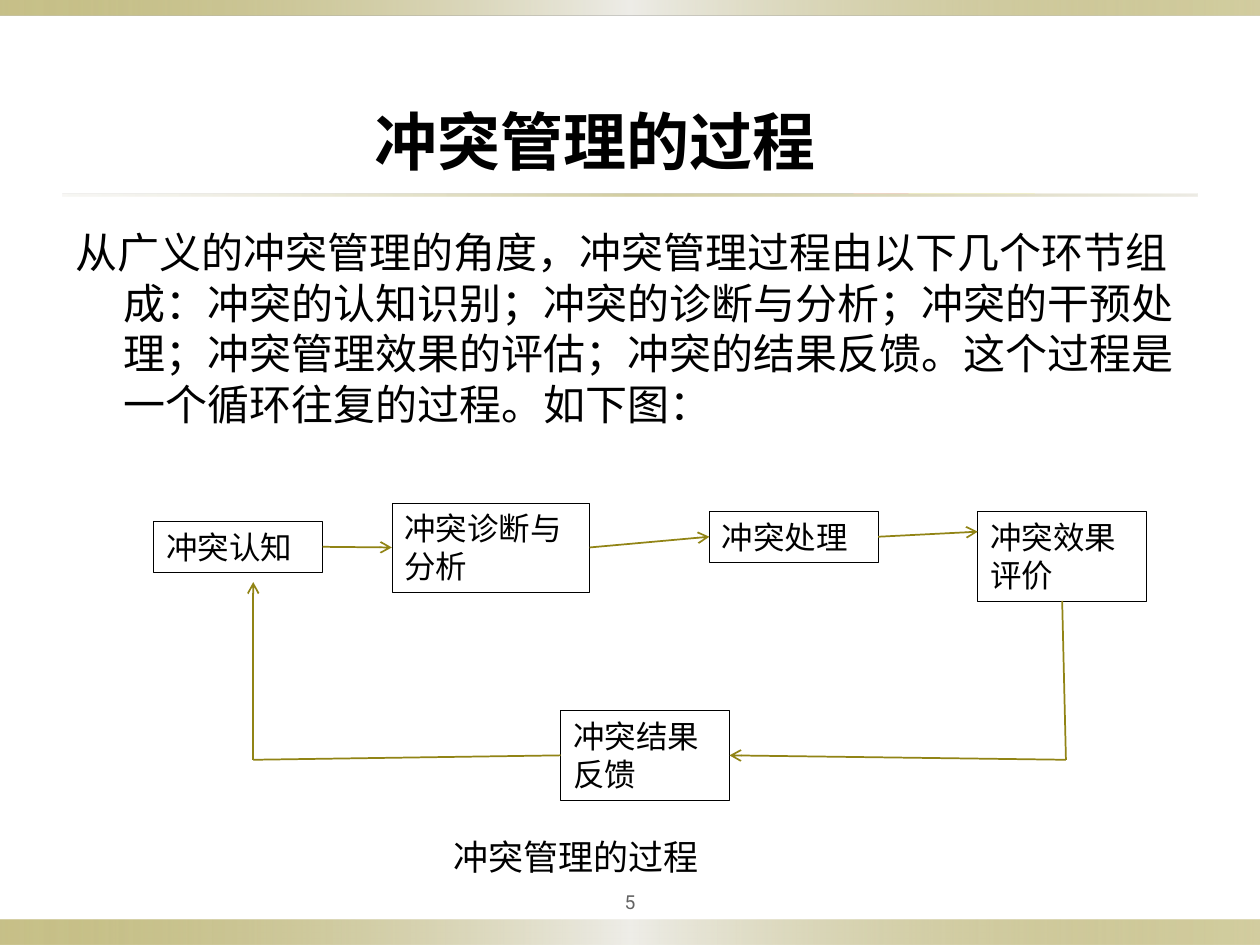
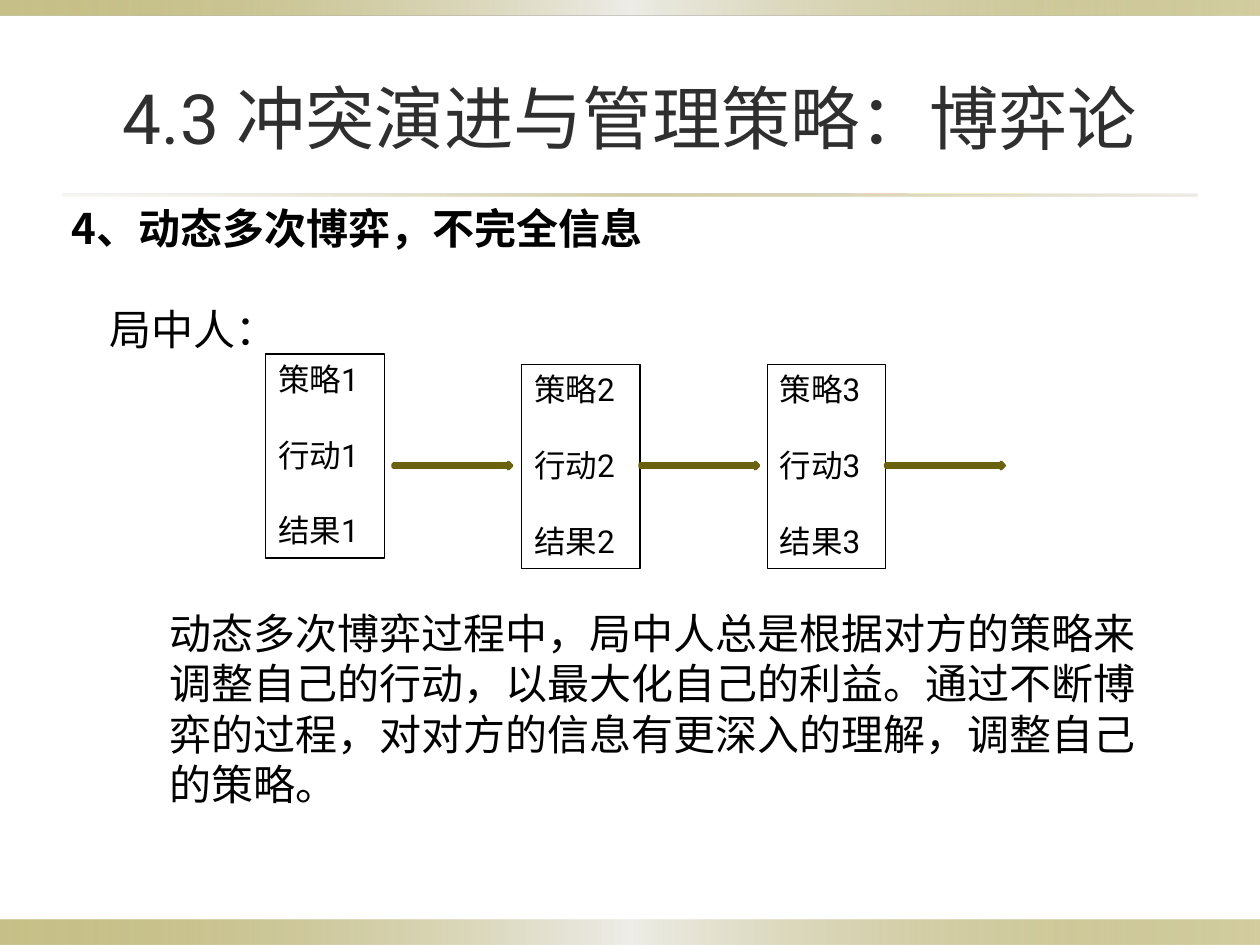
"""Build two slides on the conflict management process and repeated games."""
from lxml.etree import SubElement
from pptx import Presentation
from pptx.dml.color import RGBColor
from pptx.enum.shapes import MSO_CONNECTOR, MSO_SHAPE
from pptx.enum.text import MSO_ANCHOR, MSO_AUTO_SIZE, PP_ALIGN
from pptx.oxml.ns import qn
from pptx.util import Inches, Pt

COLORS = {"olive": "918415", "dark_olive": "6B6210", "silver": "EEEDE8", "sand": "DCD9CC",
          "black": "000000", "title": "2F2F2F", "grey": "636363"}
CJK, LATIN = "Noto Sans CJK SC", "Roboto"


def write(shape, text, size, font=LATIN, color="black", bold=False,
          align=PP_ALIGN.LEFT, anchor=MSO_ANCHOR.TOP, wrap=True):
    frame = shape.text_frame
    frame.text = text
    frame.word_wrap, frame.auto_size, frame.vertical_anchor = wrap, MSO_AUTO_SIZE.NONE, anchor
    for paragraph in frame.paragraphs:
        paragraph.alignment, paragraph.space_before = align, Pt(0)
        for run in paragraph.runs:
            run.font.size, run.font.bold, run.font.name = Pt(size), bold, font
            run.font.color.rgb = RGBColor.from_string(COLORS[color])
            SubElement(run.font._element, qn("a:ea")).set("typeface", CJK)
    return frame.paragraphs


def add_step(slide, left, top, width, height, text, line_width):
    step = slide.shapes.add_shape(MSO_SHAPE.RECTANGLE, *map(Inches, (left, top, width, height)))
    step.shadow.inherit = False
    step.fill.background()
    step.line.color.rgb = RGBColor.from_string(COLORS["black"])
    step.line.width = Pt(line_width)
    return step, write(step, text, 18)


deck = Presentation()
deck.slide_width, deck.slide_height = Inches(10), Inches(7.5)
layout = deck.slide_layouts[1]
process = deck.slides.add_slide(layout)
game = deck.slides.add_slide(layout)

band_stops = [(0, "olive", 50), (50, "silver", 100), (100, "olive", 40)]
rule_stops = [(0, "sand", 20), (50, "olive", 40), (100, "sand", 50)]
for left, top, width, height, stops in [(0, 7.3, 10, 0.2, band_stops),
                                        (0, 0, 10, 0.12, band_stops),
                                        (0.5, 1.54, 9, 0.02, rule_stops)]:
    band = process.shapes.add_shape(MSO_SHAPE.RECTANGLE, *map(Inches, (left, top, width, height)))
    band.shadow.inherit = False
    band.line.fill.background()
    band.fill.gradient()
    band.fill.gradient_angle = 0
    stop_list = band.element.spPr.find(".//" + qn("a:gsLst"))
    for old_stop in list(stop_list):
        stop_list.remove(old_stop)
    for position, color, opacity in stops:
        stop = SubElement(stop_list, qn("a:gs"), pos=str(position * 1000))
        tint = SubElement(stop, qn("a:srgbClr"), val=COLORS[color])
        SubElement(tint, qn("a:alpha"), val=str(opacity * 1000))
    layout.shapes.element.insert(2, band.element)

for placeholder, bounds in [(process.shapes.title, (2.87, 0.76, 3.75, 0.71)),
                            (process.placeholders[1], (0.5, 1.75, 9, 2)),
                            (game.shapes.title, (0.5, 0.3, 9, 1.25)),
                            (game.placeholders[1], (0.47, 1.56, 9, 5.55))]:
    placeholder.left, placeholder.top, placeholder.width, placeholder.height = map(Inches, bounds)

write(process.shapes.title, "冲突管理的过程", 36, CJK, bold=True, wrap=False)
write(game.shapes.title, "4.3 冲突演进与管理策略：博弈论", 39.6, color="title",
      align=PP_ALIGN.CENTER, anchor=MSO_ANCHOR.MIDDLE)
intro, = write(process.placeholders[1],
               "从广义的冲突管理的角度，冲突管理过程由以下几个环节组成：冲突的认知识别；"
               "冲突的诊断与分析；冲突的干预处理；冲突管理效果的评估；冲突的结果反馈。"
               "这个过程是一个循环往复的过程。如下图：", 24, CJK)
heading, players = write(game.placeholders[1], "4、动态多次博弈，不完全信息\n局中人：", 24, CJK)
heading.runs[0].font.bold = True
players.space_before = Pt(28.8)
for paragraph, margin, indent in [(intro, 0.38, -0.38), (heading, 0.38, -0.38), (players, 0.3, 0)]:
    properties = paragraph._p.get_or_add_pPr()
    properties.set("marL", str(Inches(margin)))
    properties.set("indent", str(Inches(indent)))
    SubElement(properties, qn("a:buNone"))

awareness, diagnosis, handling, evaluation, feedback = [
    add_step(process, left, top, width, height, text, 0.25)[0]
    for left, top, width, height, text in [(1.22, 4.14, 1.34, 0.4, "冲突认知"),
                                           (3.11, 3.99, 1.57, 0.71, "冲突诊断与分析"),
                                           (5.63, 4.06, 1.34, 0.4, "冲突处理"),
                                           (7.76, 4.06, 1.34, 0.71, "冲突效果评价"),
                                           (4.45, 5.64, 1.34, 0.71, "冲突结果反馈")]]

for ends, source, target, arrow in [
        ((2.56, 4.34, 3.11, 4.34), (awareness, 3), (diagnosis, 1), True),
        ((4.68, 4.34, 5.63, 4.26), (diagnosis, 3), (handling, 1), True),
        ((6.97, 4.26, 7.76, 4.22), (handling, 3), None, True),
        ((8.43, 4.77, 8.46, 6.03), (evaluation, 2), None, False),
        ((8.46, 6.03, 5.79, 5.99), None, (feedback, 3), True),
        ((4.45, 5.99, 2.01, 6.03), (feedback, 1), None, False),
        ((2.01, 6.03, 2.01, 4.62), None, None, True)]:
    flow = process.shapes.add_connector(MSO_CONNECTOR.STRAIGHT, *map(Inches, ends))
    if source:
        flow.begin_connect(*source)
    if target:
        flow.end_connect(*target)
    flow.line.color.rgb = RGBColor.from_string(COLORS["olive"])
    flow.line.width = Pt(1)
    if arrow:
        SubElement(flow.line._get_or_add_ln(), qn("a:tailEnd"), type="arrow")
    SubElement(flow.element.spPr, qn("a:effectLst"))

for number, (left, top, arrow_left) in enumerate(
        [(2.11, 2.81, 3.12), (4.14, 2.89, 5.08), (6.09, 2.89, 7.03)], 1):
    _, lines = add_step(game, left, top, 0.94, 1.62,
                        f"策略{number}\n行动{number}\n结果{number}", 0.75)
    for line in lines[1:]:
        line.space_before = Pt(21.6)
    next_round = game.shapes.add_shape(MSO_SHAPE.RIGHT_ARROW,
                                       *map(Inches, (arrow_left, 3.67, 0.94, 0.05)))
    next_round.shadow.inherit = False
    next_round.fill.solid()
    next_round.fill.fore_color.rgb = RGBColor.from_string(COLORS["olive"])
    next_round.line.color.rgb = RGBColor.from_string(COLORS["dark_olive"])
    next_round.line.width = Pt(2)

caption = process.shapes.add_textbox(*map(Inches, (3.5, 6.58, 3.62, 0.44)))
write(caption, "冲突管理的过程", 20)
page_number = process.shapes.add_textbox(*map(Inches, (4.5, 7, 1, 0.31)))
write(page_number, "5", 11, color="grey", align=PP_ALIGN.CENTER, anchor=MSO_ANCHOR.MIDDLE)
explanation = game.shapes.add_textbox(*map(Inches, (1.25, 4.77, 7.89, 1.72)))
write(explanation, "动态多次博弈过程中，局中人总是根据对方的策略来调整自己的行动，以最大化自己的利益。"
      "通过不断博弈的过程，对对方的信息有更深入的理解，调整自己的策略。", 24, CJK)

deck.save("out.pptx")
